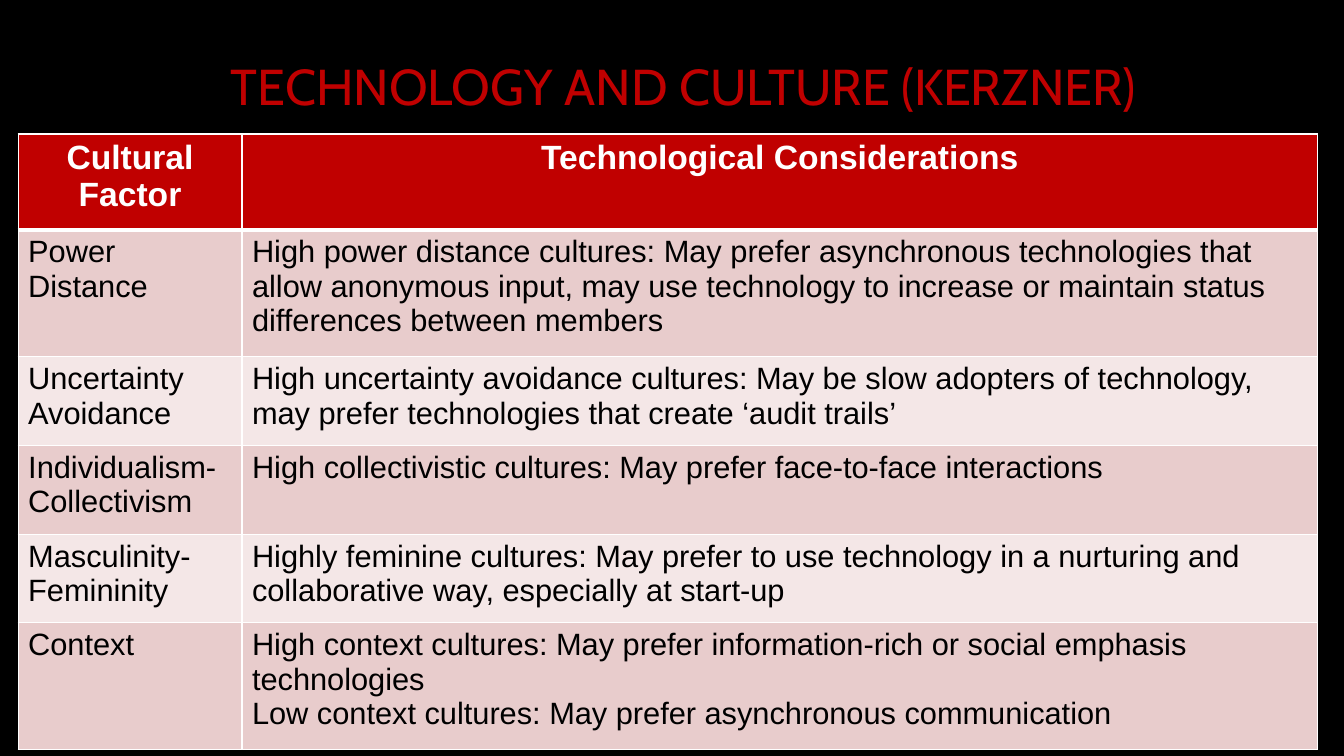
from dataclasses import dataclass

from lxml.etree import SubElement
from pptx import Presentation
from pptx.dml.color import RGBColor
from pptx.enum.text import MSO_ANCHOR, PP_ALIGN
from pptx.oxml.ns import qn
from pptx.util import Pt

PX = 9144


@dataclass(frozen=True)
class Theme:
    """Colours, fonts and type sizes of the slide."""
    back: str = "000000"
    accent: str = "C00000"
    light: str = "FFFFFF"
    ink: str = "000000"
    bands: tuple = ("E8CCCC", "F4E7E7")
    title_font: str = "Cabin"
    body_font: str = "Arial"
    title_size: int = 36
    head_size: int = 24
    body_size: int = 22


T = Theme()
COLUMNS = (222, 1067)
HEIGHTS = (95, 126, 88, 88, 88, 126)
ROWS = [
    ("Cultural Factor", ["Technological Considerations"]),
    ("Power Distance", [
        "High power distance cultures: May prefer asynchronous technologies that allow anonymous "
        "input, may use technology to increase or maintain status differences between members"]),
    ("Uncertainty Avoidance", [
        "High uncertainty avoidance cultures: May be slow adopters of technology, "
        "may prefer technologies that create ‘audit trails’"]),
    ("Individualism-Collectivism", [
        "High collectivistic cultures: May prefer face-to-face interactions"]),
    ("Masculinity-Femininity", [
        "Highly feminine cultures: May prefer to use technology in a nurturing and "
        "collaborative way, especially at start-up"]),
    ("Context", [
        "High context cultures: May prefer information-rich or social emphasis technologies",
        "Low context cultures: May prefer asynchronous communication"]),
]


def emu(*lengths):
    """Turn px lengths into EMU."""
    return [n * PX for n in lengths]


def add_run(p, text, font, size, color, bold=False):
    """Add one styled run to a paragraph."""
    r = p.add_run()
    r.text = text
    r.font.name, r.font.size, r.font.bold = font, Pt(size), bold
    r.font.color.rgb = RGBColor.from_string(color)


def add_title(s, box, text):
    """Place the title at the bottom of its box."""
    tf = s.shapes.add_textbox(*emu(*box)).text_frame
    tf.word_wrap = True
    tf.vertical_anchor = MSO_ANCHOR.BOTTOM
    tf.margin_left = tf.margin_top = tf.margin_right = tf.margin_bottom = 0
    p = tf.paragraphs[0]
    p.line_spacing = 0.9
    add_run(p, text, T.title_font, T.title_size, T.accent)


def add_borders(cell, top, bottom):
    """Draw the four borders of a cell, with widths in points."""
    tc_pr = cell._tc.get_or_add_tcPr()
    for side, width in (("L", 1), ("R", 1), ("T", top), ("B", bottom)):
        ln = SubElement(tc_pr, qn(f"a:ln{side}"), w=str(Pt(width)))
        SubElement(SubElement(ln, qn("a:solidFill")), qn("a:srgbClr"), val=T.light)


def fill_cell(cell, row, texts):
    """Style one cell by its row and write its paragraphs."""
    head = row == 0
    add_borders(cell, 3 if row == 1 else 1, 3 if head else 1)
    cell.fill.solid()
    color = T.accent if head else T.bands[(row - 1) % 2]
    cell.fill.fore_color.rgb = RGBColor.from_string(color)
    tf = cell.text_frame
    for i, text in enumerate(texts):
        p = tf.add_paragraph() if i else tf.paragraphs[0]
        p.alignment = PP_ALIGN.CENTER if head else PP_ALIGN.LEFT
        size, ink = (T.head_size, T.light) if head else (T.body_size, T.ink)
        add_run(p, text, T.body_font, size, ink, head)


def add_factor_table(s, left, top):
    """Place the table of cultural factors from its top left corner."""
    box = emu(left, top, sum(COLUMNS), sum(HEIGHTS))
    table = s.shapes.add_table(len(ROWS), len(COLUMNS), *box).table
    for column, width in zip(table.columns, emu(*COLUMNS)):
        column.width = width
    for row, height in zip(table.rows, emu(*HEIGHTS)):
        row.height = height
    for i, (factor, considerations) in enumerate(ROWS):
        fill_cell(table.cell(i, 0), i, [factor])
        fill_cell(table.cell(i, 1), i, considerations)


def main():
    """Build and save the slide."""
    prs = Presentation()
    prs.slide_width, prs.slide_height = emu(1333, 750)
    s = prs.slides.add_slide(prs.slide_layouts[6])
    s.background.fill.solid()
    s.background.fill.fore_color.rgb = RGBColor.from_string(T.back)
    add_title(s, (229, 29, 930, 87), "TECHNOLOGY AND CULTURE (KERZNER)")
    add_factor_table(s, 18, 133)
    prs.save("out.pptx")


if __name__ == "__main__":
    main()
